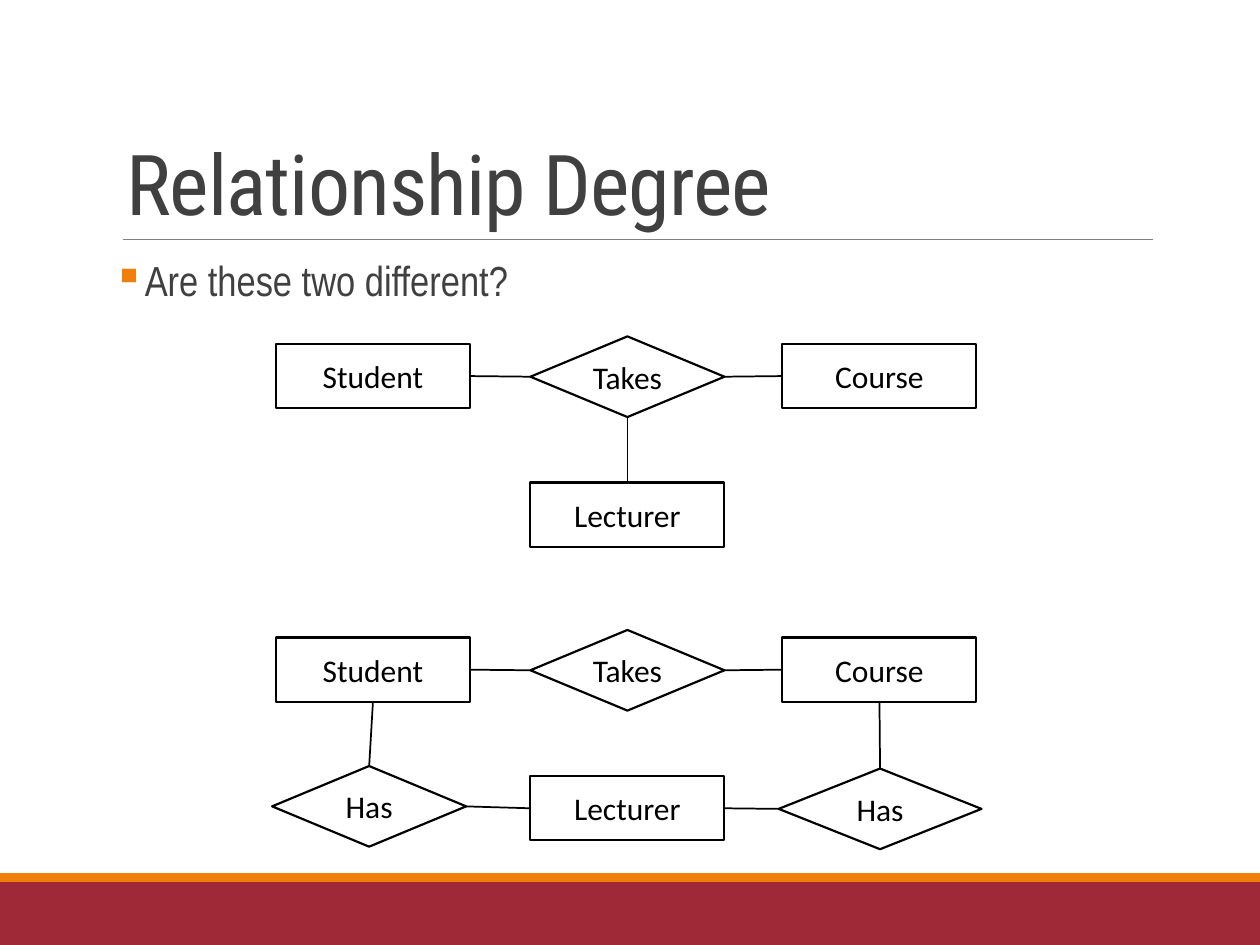
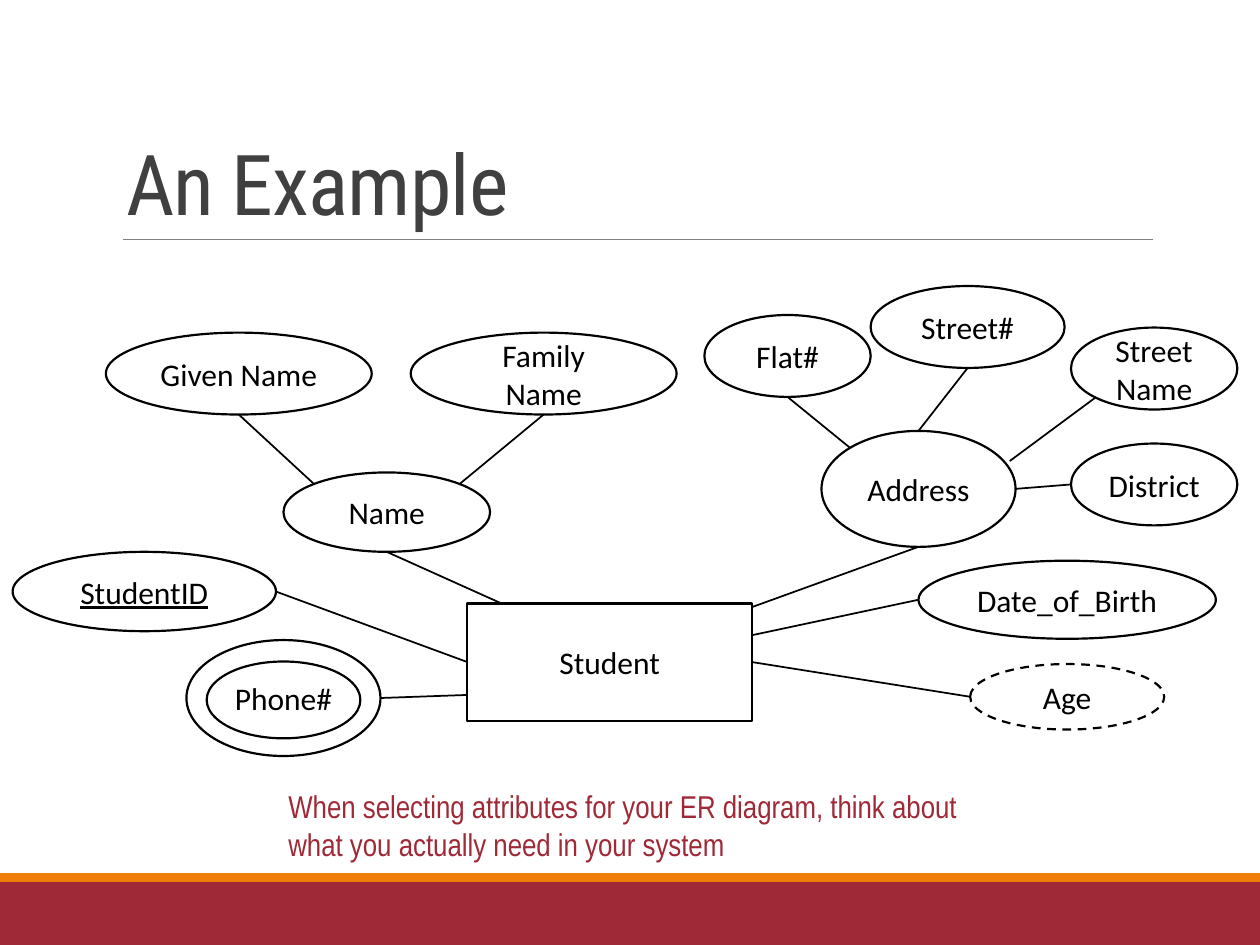
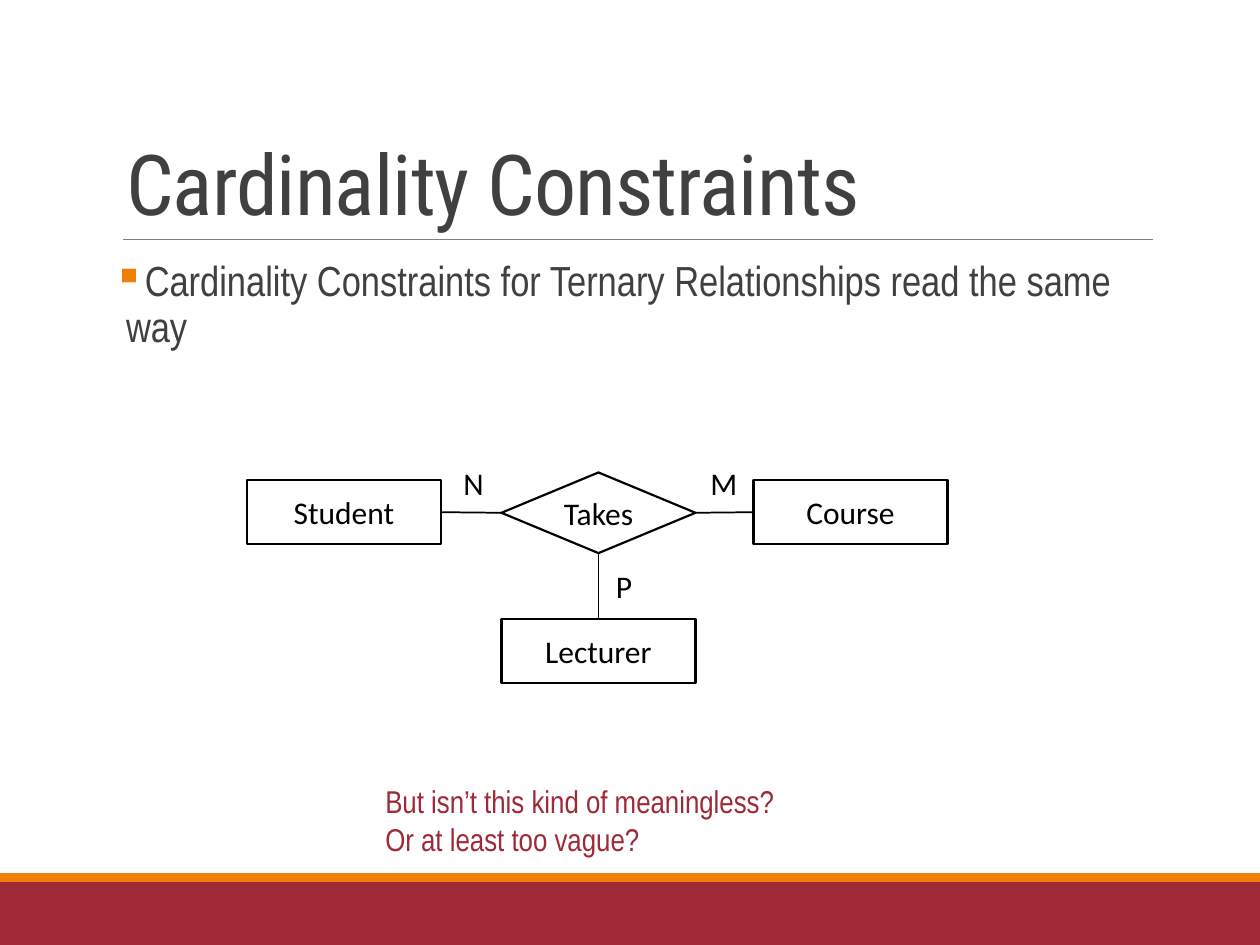
from dataclasses import dataclass

from lxml.etree import SubElement
from pptx import Presentation
from pptx.dml.color import RGBColor
from pptx.enum.dml import MSO_LINE
from pptx.enum.shapes import MSO_CONNECTOR, MSO_SHAPE
from pptx.enum.text import MSO_ANCHOR, MSO_AUTO_SIZE, PP_ALIGN
from pptx.oxml.ns import qn
from pptx.slide import Slide
from pptx.text.text import TextFrame
from pptx.util import Inches, Pt


@dataclass(frozen=True)
class Theme:
    red: RGBColor = RGBColor(0x9F, 0x29, 0x36)
    amber: RGBColor = RGBColor(0xF0, 0x7F, 0x09)
    grey: RGBColor = RGBColor(0x40, 0x40, 0x40)
    rule: RGBColor = RGBColor(0x80, 0x80, 0x80)
    ink: RGBColor = RGBColor(0, 0, 0)
    paper: RGBColor = RGBColor(0xFF, 0xFF, 0xFF)
    head: str = "Roboto Condensed"
    body: str = "Arial Narrow"
    label: str = "Calibri"
    title: float = 48
    point: float = 24
    small: float = 18
    edge: float = 1.25
    link: float = 1
    hair: float = 0.5


THEME = Theme()

# Spots on a box, as fractions of its width and height
Spot = tuple[float, float]
TOP, LEFT, BASE, RIGHT = (0.5, 0), (0, 0.5), (0.5, 1), (1, 0.5)
TOP_LEFT, TOP_RIGHT, BASE_LEFT = (0.15, 0.15), (0.85, 0.15), (0.15, 0.85)

RECT, DIAMOND, OVAL = MSO_SHAPE.RECTANGLE, MSO_SHAPE.DIAMOND, MSO_SHAPE.OVAL


@dataclass(frozen=True)
class Node:
    text: str
    left: float
    top: float
    width: float = 1.54
    height: float = 0.65
    kind: MSO_SHAPE = OVAL
    dash: bool = False
    under: bool = False
    clear: bool = False

    def at(self, spot: Spot) -> Spot:
        return self.left + spot[0] * self.width, self.top + spot[1] * self.height


@dataclass(frozen=True)
class Link:
    start: str
    out: Spot
    end: str
    into: Spot


# Text
def write(frame: TextFrame, text: str, *, font: str = THEME.label,
          size: float = THEME.small, color: RGBColor = THEME.ink,
          align: PP_ALIGN = PP_ALIGN.LEFT, anchor: MSO_ANCHOR = MSO_ANCHOR.TOP,
          under: bool = False, pitch: float | None = None, track: int = 0,
          bullet: str = "") -> None:
    frame.word_wrap = True
    frame.auto_size = MSO_AUTO_SIZE.NONE
    frame.vertical_anchor = anchor
    for i, line in enumerate(text.split("\n")):
        para = frame.paragraphs[0] if i == 0 else frame.add_paragraph()
        para.alignment = align
        if pitch:
            para.line_spacing = pitch
        if bullet:
            props = para._p.get_or_add_pPr()
            props.set("marL", str(Inches(0.1)))
            props.set("indent", str(-Inches(0.1)))
            tint = SubElement(props, qn("a:buClr"))
            SubElement(tint, qn("a:srgbClr")).set("val", str(THEME.amber))
            SubElement(props, qn("a:buChar")).set("char", bullet)
        run = para.add_run()
        run.text = line
        run.font.name = font
        run.font.size = Pt(size)
        run.font.color.rgb = color
        run.font.underline = under or None
        if track:
            run._r.get_or_add_rPr().set("spc", str(track))


def add_text(slide: Slide, text: str, left: float, top: float, width: float,
             height: float, **style) -> TextFrame:
    box = slide.shapes.add_textbox(
        Inches(left), Inches(top), Inches(width), Inches(height))
    write(box.text_frame, text, **style)
    return box.text_frame


def add_note(slide: Slide, text: str, left: float, top: float, width: float) -> None:
    add_text(slide, text, left, top, width, 0.71, font=THEME.body, color=THEME.red)


def add_point(slide: Slide, text: str) -> None:
    frame = add_text(slide, text, 0.9, 2.02, 8.25, 4.4, font=THEME.body,
                     size=THEME.point, color=THEME.grey, pitch=0.9, bullet="▪")
    frame.margin_left = frame.margin_right = 0


# Lines and shapes
def add_line(slide: Slide, start: Spot, end: Spot, color: RGBColor = THEME.ink,
             weight: float = THEME.link) -> None:
    line = slide.shapes.add_connector(
        MSO_CONNECTOR.STRAIGHT, *(Inches(v) for v in (*start, *end)))
    line.line.color.rgb = color
    line.line.width = Pt(weight)
    SubElement(line._element.spPr, qn("a:effectLst"))


def add_band(slide: Slide, top: float, height: float, color: RGBColor) -> None:
    band = slide.shapes.add_shape(RECT, 0, Inches(top), Inches(10), Inches(height))
    band.shadow.inherit = False
    band.fill.solid()
    band.fill.fore_color.rgb = color
    band.line.fill.background()


def add_node(slide: Slide, node: Node) -> None:
    shape = slide.shapes.add_shape(
        node.kind, Inches(node.left), Inches(node.top),
        Inches(node.width), Inches(node.height))
    shape.shadow.inherit = False
    if node.clear:
        shape.fill.background()
    else:
        shape.fill.solid()
        shape.fill.fore_color.rgb = THEME.paper
    shape.line.color.rgb = THEME.ink
    shape.line.width = Pt(THEME.edge)
    if node.dash:
        shape.line.dash_style = MSO_LINE.DASH
    if node.text:
        write(shape.text_frame, node.text, align=PP_ALIGN.CENTER,
              anchor=MSO_ANCHOR.MIDDLE, under=node.under)


def draw(slide: Slide, nodes: dict[str, Node], links: list[Link]) -> None:
    for node in nodes.values():
        add_node(slide, node)
    for link in links:
        add_line(slide, nodes[link.start].at(link.out), nodes[link.end].at(link.into))


# Shared frame of every slide
def add_slide(deck, title: str) -> Slide:
    slide = deck.slides.add_slide(deck.slide_layouts[5])
    add_band(slide, 7, 0.5, THEME.red)
    add_band(slide, 6.93, 0.07, THEME.amber)
    add_line(slide, (0.98, 1.9), (9.15, 1.9), THEME.rule, THEME.hair)
    head = slide.shapes.title
    head.left, head.top = Inches(0.9), Inches(0.31)
    head.width, head.height = Inches(8.25), Inches(1.59)
    write(head.text_frame, title, font=THEME.head, size=THEME.title,
          color=THEME.grey, anchor=MSO_ANCHOR.BOTTOM, pitch=0.85, track=-50)
    return slide


# Student, course and lecturer around one relationship
def trio(left: float, top: float) -> dict[str, Node]:
    def block(text: str, right: float, down: float) -> Node:
        return Node(text, left + right, top + down, height=0.51, kind=RECT)

    return {
        "student": block("Student", 0, 0.06),
        "course": block("Course", 4.02, 0.06),
        "takes": Node("Takes", left + 2.02, top, height=0.64, kind=DIAMOND),
        "lecturer": block("Lecturer", 2.02, 1.16),
    }


ROW = [Link("student", RIGHT, "takes", LEFT), Link("takes", RIGHT, "course", LEFT)]
TERNARY = ROW + [Link("lecturer", TOP, "takes", BASE)]


def degree(deck) -> None:
    slide = add_slide(deck, "Relationship Degree")
    add_point(slide, "Are these two different?")
    draw(slide, trio(2.19, 2.67), TERNARY)
    pairs = trio(2.19, 5) | {
        "has right": Node("Has", 6.18, 6.1, 1.61, 0.64, DIAMOND),
        "has left": Node("Has", 2.16, 6.08, height=0.64, kind=DIAMOND),
    }
    draw(slide, pairs, ROW + [
        Link("has left", TOP, "student", BASE),
        Link("has left", RIGHT, "lecturer", LEFT),
        Link("has right", TOP, "course", BASE),
        Link("lecturer", RIGHT, "has right", LEFT),
    ])


def example(deck) -> None:
    slide = add_slide(deck, "An Example")
    nodes = {
        "student": Node("Student", 3.71, 4.79, 2.26, 0.93, RECT),
        "name": Node("Name", 2.25, 3.75, 1.64, 0.63),
        "id": Node("StudentID", 0.1, 4.38, 2.09, 0.63, under=True),
        "address": Node("Address", 6.52, 3.42, height=0.92),
        "birth": Node("Date_of_Birth", 7.29, 4.45, 2.36, 0.62),
        "given": Node("Given Name", 0.84, 2.64, 2.11),
        "family": Node("Family Name", 3.26, 2.64, 2.11),
        "age": Node("Age", 7.7, 5.27, height=0.52, dash=True),
        "inner": Node("", 1.64, 5.25, 1.22, 0.61),
        "phone": Node("Phone#", 1.48, 5.08, height=0.92, clear=True),
        "flat": Node("Flat#", 5.59, 2.5, 1.32),
        "number": Node("Street#", 6.91, 2.27),
        "street": Node("Street Name", 8.5, 2.6, 1.32),
        "district": Node("District", 8.5, 3.52, 1.32),
    }
    draw(slide, nodes, [
        Link("name", BASE, "student", (0.12, 0)),
        Link("id", RIGHT, "student", LEFT),
        Link("birth", LEFT, "student", (1, 0.27)),
        Link("address", BASE, "student", (1, 0.03)),
        Link("given", BASE, "name", TOP_LEFT),
        Link("family", BASE, "name", TOP_RIGHT),
        Link("age", LEFT, "student", RIGHT),
        Link("phone", RIGHT, "student", (0, 0.78)),
        Link("flat", BASE, "address", TOP_LEFT),
        Link("number", BASE, "address", TOP),
        Link("street", BASE_LEFT, "address", (0.97, 0.26)),
        Link("district", LEFT, "address", RIGHT),
    ])
    add_note(slide, "When selecting attributes for your ER diagram, think about "
             "what you actually need in your system", 2.19, 6.2, 5.64)


def limits(deck) -> None:
    slide = add_slide(deck, "Cardinality Constraints")
    add_point(slide, "Cardinality Constraints for Ternary Relationships "
              "read the same way")
    draw(slide, trio(1.96, 3.75), TERNARY)
    for mark, left, top in (("N", 3.58, 3.63), ("M", 5.54, 3.63), ("P", 4.79, 4.45)):
        add_text(slide, mark, left, top, 0.49, 0.4)
    add_note(slide, "But isn’t this kind of meaningless?\nOr at least too vague?",
             2.96, 6.16, 3.8)


def main() -> None:
    deck = Presentation()
    deck.slide_width, deck.slide_height = Inches(10), Inches(7.5)
    for build in (degree, example, limits):
        build(deck)
    deck.save("out.pptx")


if __name__ == "__main__":
    main()
